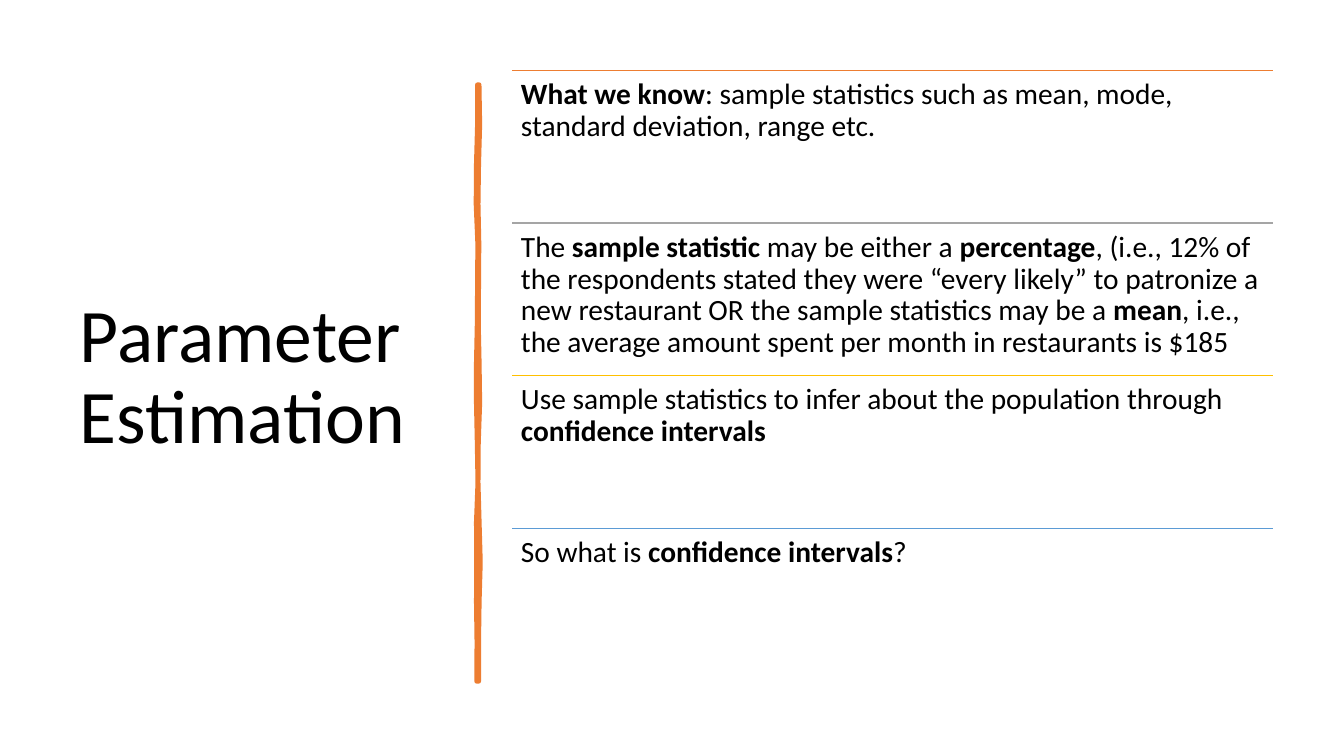
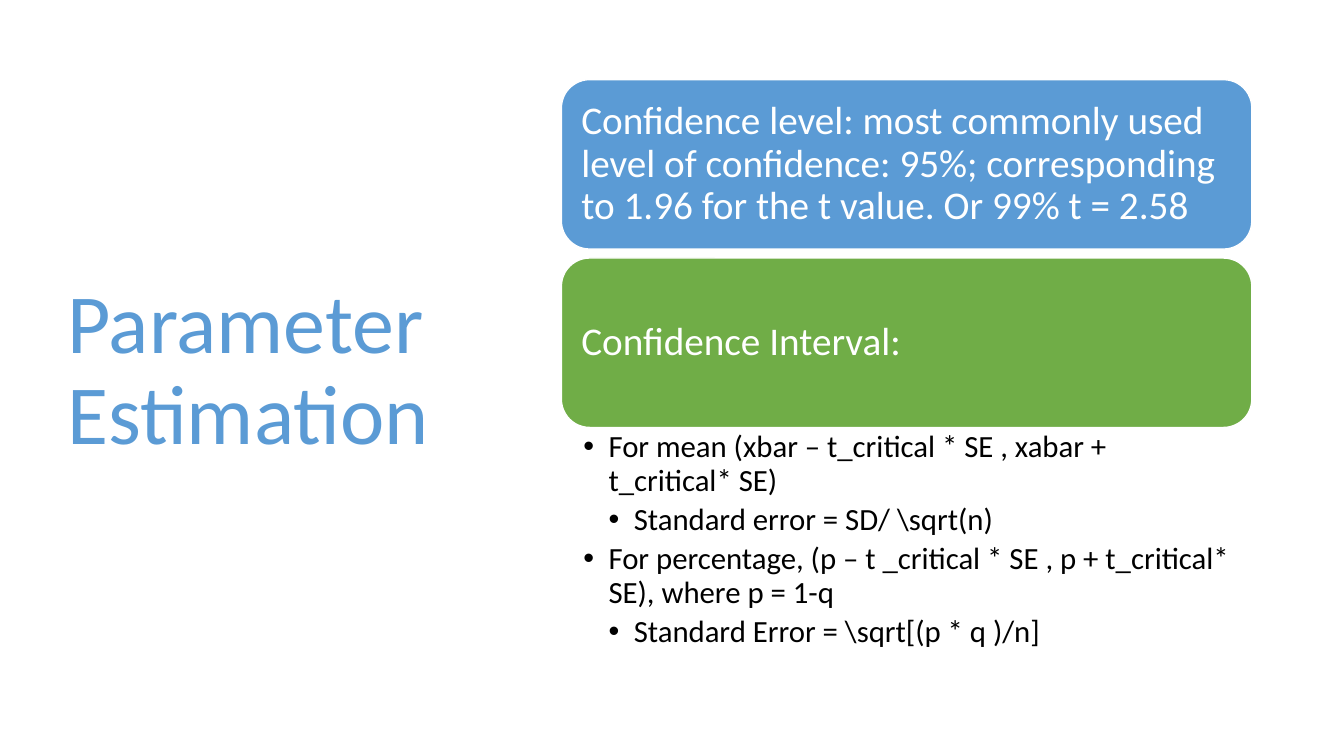
from dataclasses import dataclass
from typing import Sequence

from lxml.etree import SubElement
from pptx import Presentation
from pptx.dml.color import RGBColor
from pptx.enum.shapes import MSO_CONNECTOR as Connector, MSO_SHAPE as Preset
from pptx.enum.text import MSO_ANCHOR as Anchor
from pptx.oxml.ns import qn
from pptx.util import Pt

# Shared style
BLACK = RGBColor(0x00, 0x00, 0x00)
WHITE = RGBColor(0xFF, 0xFF, 0xFF)
ORANGE = RGBColor(0xED, 0x7D, 0x31)
GRAY = RGBColor(0xA5, 0xA5, 0xA5)
GOLD = RGBColor(0xFF, 0xC0, 0x00)
BLUE = RGBColor(0x5B, 0x9B, 0xD5)
GREEN = RGBColor(0x70, 0xAD, 0x47)
FONT = "Calibri"
LINE_SPACING = 0.9
TITLE = "Parameter Estimation"


@dataclass(frozen=True)
class Box:
    left: float
    top: float
    width: float
    height: float

    def lengths(self) -> tuple:
        return Pt(self.left), Pt(self.top), Pt(self.width), Pt(self.height)


@dataclass(frozen=True)
class TextStyle:
    size: float
    color: RGBColor
    inset_x: float
    inset_y: float
    anchor: Anchor = Anchor.TOP


@dataclass(frozen=True)
class Span:
    text: str
    bold: bool = False


@dataclass(frozen=True)
class Row:
    color: RGBColor
    spans: Sequence[Span]


@dataclass(frozen=True)
class Card:
    color: RGBColor
    text: str


@dataclass(frozen=True)
class Bullet:
    level: int
    text: str


# Statement rows of the first slide
ROW_AREA = Box(365.8, 50.4, 543.6, 109)
ROW_STYLE = TextStyle(21, BLACK, 6.3, 6.3)
ROWS = (
    Row(ORANGE, (
        Span("What we know", True),
        Span(": sample statistics such as mean, mode, standard deviation, range etc."),
    )),
    Row(GRAY, (
        Span("The "),
        Span("sample statistic ", True),
        Span("may be either a "),
        Span("percentage", True),
        Span(", (i.e., 12% of the respondents stated they were “every likely” to "
             "patronize a new restaurant OR the sample statistics may be a "),
        Span("mean", True),
        Span(", i.e., the average amount spent per month in restaurants is $185"),
    )),
    Row(GOLD, (
        Span("Use sample statistics to infer about the population through "),
        Span("confidence intervals", True),
    )),
    Row(BLUE, (
        Span("So what is "),
        Span("confidence intervals", True),
        Span("?"),
    )),
)

# Hand-drawn divider: left and right edges at equal steps down the bar
DIVIDER_TOP, DIVIDER_BOTTOM = 60.5, 486.7
LEFT_EDGE = (341, 341, 340.2, 340, 341.2, 341, 340.8, 340.2, 340.2,
             340.8, 341.3, 340.2, 340.4, 340.2, 340.6, 340.5)
RIGHT_EDGE = (342.3, 342.8, 342, 341.6, 342.2, 342, 341.8, 342.4, 342.8,
              341.8, 341.6, 342.4, 343.2, 342.4, 342, 342)

# Cards and bullets of the second slide
CARD_AREA = Box(401, 56.9, 493.2, 121)
CARD_PITCH = 127.4
CARD_STYLE = TextStyle(28, WHITE, 8.4, 8.4, Anchor.MIDDLE)
CARDS = (
    Card(BLUE, "Confidence level: most commonly used level of confidence: 95%; "
               "corresponding to 1.96 for the t value. Or 99% t = 2.58"),
    Card(GREEN, "Confidence Interval:"),
)
BULLET_AREA = Box(401, 305.3, 493.2, 169)
BULLET_STYLE = TextStyle(22, BLACK, 15.7, 2.8)
BULLET_INDENT = 18
BULLETS = (
    Bullet(0, "For mean (xbar – t_critical * SE , xabar + t_critical* SE)"),
    Bullet(1, "Standard error = SD/ \\sqrt(n)"),
    Bullet(0, "For percentage, (p – t _critical * SE , p + t_critical* SE), where p = 1-q"),
    Bullet(1, "Standard Error = \\sqrt[(p * q )/n]"),
)


def set_up_frame(shape, style: TextStyle):
    frame = shape.text_frame
    frame.word_wrap = True
    frame.vertical_anchor = style.anchor
    frame.margin_left = frame.margin_right = Pt(style.inset_x)
    frame.margin_top = frame.margin_bottom = Pt(style.inset_y)
    return frame


def write_spans(paragraph, spans: Sequence[Span], style: TextStyle) -> None:
    paragraph.line_spacing = LINE_SPACING
    for span in spans:
        run = paragraph.add_run()
        run.text = span.text
        run.font.name = FONT
        run.font.size = Pt(style.size)
        run.font.bold = span.bold
        run.font.color.rgb = style.color


def add_text(slide, box: Box, spans: Sequence[Span], style: TextStyle) -> None:
    shape = slide.shapes.add_textbox(*box.lengths())
    write_spans(set_up_frame(shape, style).paragraphs[0], spans, style)


def add_title(slide, box: Box, size: float, color: RGBColor) -> None:
    add_text(slide, box, [Span(TITLE)], TextStyle(size, color, 7.2, 3.6, Anchor.MIDDLE))


def add_divider(slide) -> None:
    step = (DIVIDER_BOTTOM - DIVIDER_TOP) / (len(LEFT_EDGE) - 1)
    left, right = (
        [(Pt(x), Pt(DIVIDER_TOP + index * step)) for index, x in enumerate(edge)]
        for edge in (LEFT_EDGE, RIGHT_EDGE)
    )
    outline = right + left[::-1]
    builder = slide.shapes.build_freeform(*outline[0])
    builder.add_line_segments(outline[1:], close=True)
    shape = builder.convert_to_shape()
    shape.shadow.inherit = False
    shape.fill.solid()
    shape.fill.fore_color.rgb = ORANGE
    shape.line.color.rgb = ORANGE
    shape.line.width = Pt(3.25)
    SubElement(shape.line._get_or_add_ln(), qn("a:round"))


def add_row(slide, row: Row, box: Box) -> None:
    rule = slide.shapes.add_connector(
        Connector.STRAIGHT, Pt(box.left), Pt(box.top),
        Pt(box.left + box.width), Pt(box.top))
    rule.line.color.rgb = row.color
    rule.line.width = Pt(1)
    SubElement(rule._element.spPr, qn("a:effectLst"))
    add_text(slide, box, row.spans, ROW_STYLE)


def add_card(slide, card: Card, box: Box) -> None:
    shape = slide.shapes.add_shape(Preset.ROUNDED_RECTANGLE, *box.lengths())
    shape.shadow.inherit = False
    shape.fill.solid()
    shape.fill.fore_color.rgb = card.color
    shape.line.color.rgb = WHITE
    shape.line.width = Pt(1)
    paragraph = set_up_frame(shape, CARD_STYLE).paragraphs[0]
    paragraph.alignment = 1  # left
    write_spans(paragraph, [Span(card.text)], CARD_STYLE)


def add_bullets(slide) -> None:
    shape = slide.shapes.add_textbox(*BULLET_AREA.lengths())
    frame = set_up_frame(shape, BULLET_STYLE)
    for index, bullet in enumerate(BULLETS):
        paragraph = frame.add_paragraph() if index else frame.paragraphs[0]
        paragraph.level = bullet.level
        properties = paragraph._p.get_or_add_pPr()
        properties.set("marL", str(Pt(BULLET_INDENT * (bullet.level + 1))))
        properties.set("indent", str(-Pt(BULLET_INDENT)))
        SubElement(properties, qn("a:buFont"), typeface="Arial")
        SubElement(properties, qn("a:buChar"), char="•")
        paragraph.space_after = Pt(4.4)
        write_spans(paragraph, [Span(bullet.text)], BULLET_STYLE)


def stacked(first: Box, pitch: float, index: int) -> Box:
    return Box(first.left, first.top + index * pitch, first.width, first.height)


def main() -> None:
    presentation = Presentation()
    presentation.slide_width, presentation.slide_height = Pt(960), Pt(540)
    blank = presentation.slide_layouts[6]

    # Sample statistics
    slide = presentation.slides.add_slide(blank)
    add_title(slide, Box(50, 50.4, 269, 440), 54, BLACK)
    add_divider(slide)
    for index, row in enumerate(ROWS):
        add_row(slide, row, stacked(ROW_AREA, ROW_AREA.height, index))

    # Confidence level and interval
    slide = presentation.slides.add_slide(blank)
    add_title(slide, Box(41, 49, 299.5, 433.4), 60, BLUE)
    for index, card in enumerate(CARDS):
        add_card(slide, card, stacked(CARD_AREA, CARD_PITCH, index))
    add_bullets(slide)

    presentation.save("out.pptx")


if __name__ == "__main__":
    main()
